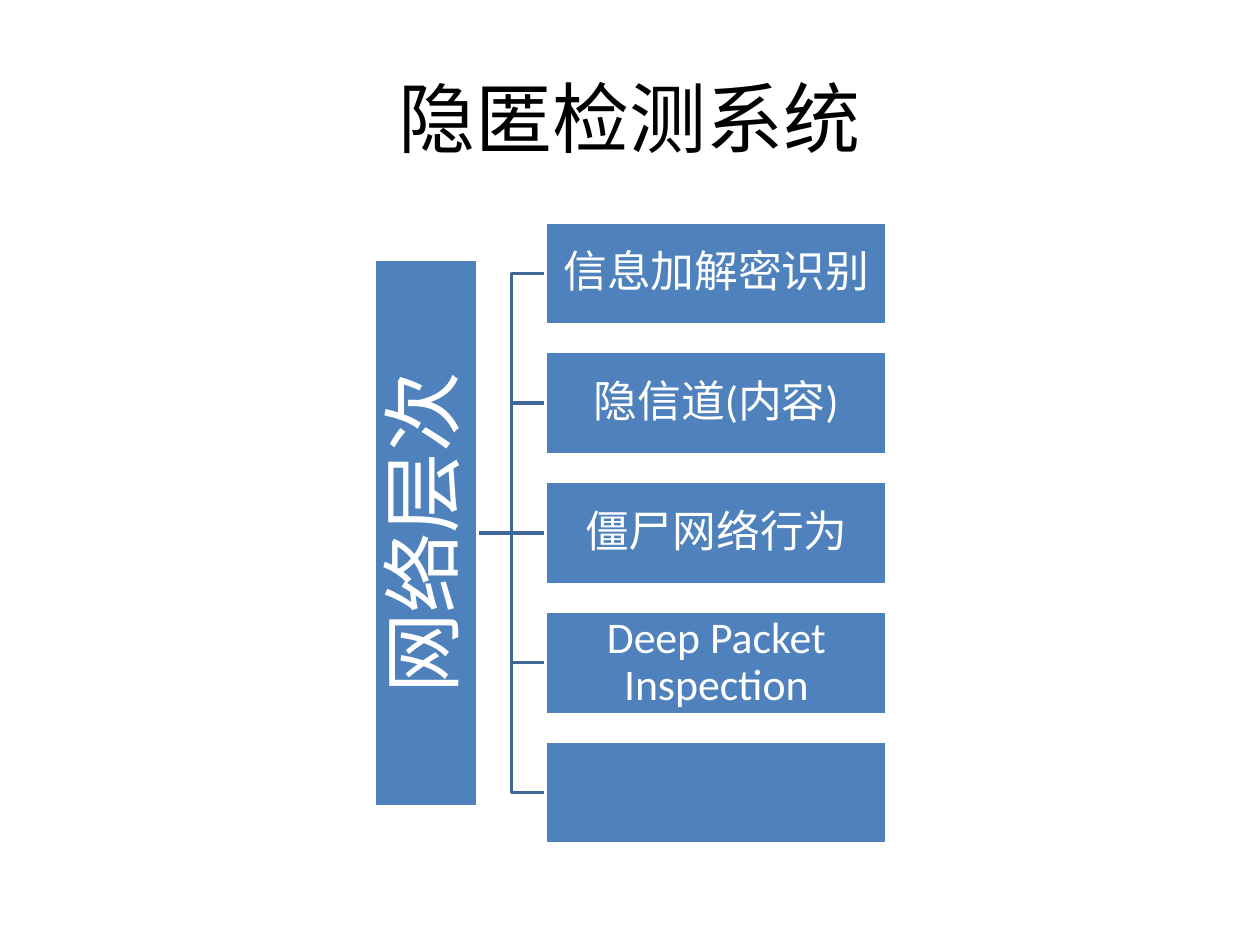
from pptx import Presentation
from pptx.dml.color import RGBColor
from pptx.enum.shapes import MSO_CONNECTOR, MSO_SHAPE
from pptx.enum.text import MSO_ANCHOR, PP_ALIGN
from pptx.oxml.ns import qn
from pptx.util import Inches, Pt

RECT = MSO_SHAPE.RECTANGLE
STRAIGHT = MSO_CONNECTOR.STRAIGHT
MIDDLE = MSO_ANCHOR.MIDDLE
CENTER = PP_ALIGN.CENTER

TITLE = "隐匿检测系统"
ROOT = "网络层次"
BRANCHES = ["信息加解密识别", "隐信道(内容)", "僵尸网络行为", "Deep Packet Inspection", ""]

FONT = "Calibri"
COLORS = {"title": "000000", "box": "4F81BD", "link": "3F6797", "white": "FFFFFF"}

WIDTH, HEIGHT = 10, 7.5
BOX_H, BOX_W, ROOT_LENGTH = 0.82, 2.71, 4.34
PITCH = 1.03
ROOT_RIGHT, BRANCH_LEFT = 3.79, 4.33
ELBOW_X = (ROOT_RIGHT + BRANCH_LEFT) / 2
MID_Y = 4.23


def rgb(name):
    return RGBColor.from_string(COLORS[name])


def write(sp, text, size, color, inset, spacing=1):
    tf = sp.text_frame
    tf.word_wrap = True
    tf.vertical_anchor = MIDDLE
    tf.margin_left = tf.margin_right = tf.margin_top = tf.margin_bottom = Inches(inset)
    p = tf.paragraphs[0]
    p.alignment = CENTER
    p.line_spacing = spacing
    r = p.add_run()
    r.text = text
    r.font.name = FONT
    r.font.size = Pt(size)
    r.font.color.rgb = rgb(color)


def add_box(slide, center_x, center_y, width, text, size, inset, rotation=0):
    sp = slide.shapes.add_shape(
        RECT, Inches(center_x - width / 2), Inches(center_y - BOX_H / 2),
        Inches(width), Inches(BOX_H))
    sp.rotation = rotation
    sp.shadow.inherit = False
    sp.fill.solid()
    sp.fill.fore_color.rgb = rgb("box")
    sp.line.color.rgb = rgb("white")
    sp.line.width = Pt(2)
    if text:
        write(sp, text, size, "white", inset, 0.9)


def add_link(slide, y):
    """Join the root to the branch at height y, with an elbow unless level."""
    if y == MID_Y:
        sp = slide.shapes.add_connector(
            STRAIGHT, Inches(ROOT_RIGHT), Inches(y), Inches(BRANCH_LEFT), Inches(y))
        props = sp._element.spPr
        props.append(props.makeelement(qn("a:effectLst"), {}))
    else:
        corners = [(ROOT_RIGHT, MID_Y), (ELBOW_X, MID_Y), (ELBOW_X, y), (BRANCH_LEFT, y)]
        start, *rest = [(Inches(px), Inches(py)) for px, py in corners]
        path = slide.shapes.build_freeform(*start)
        path.add_line_segments(rest, close=False)
        sp = path.convert_to_shape()
        sp.shadow.inherit = False
        sp.fill.background()
    sp.line.color.rgb = rgb("link")
    sp.line.width = Pt(2)


def main():
    prs = Presentation()
    prs.slide_width, prs.slide_height = Inches(WIDTH), Inches(HEIGHT)
    slide = prs.slides.add_slide(prs.slide_layouts[6])

    title = slide.shapes.add_textbox(
        Inches(0.05 * WIDTH), Inches(0.04 * HEIGHT), Inches(0.9 * WIDTH), Inches(HEIGHT / 6))
    write(title, TITLE, 44, "title", 0.05)

    middle = len(BRANCHES) // 2
    rows = [MID_Y + (i - middle) * PITCH for i in range(len(BRANCHES))]
    for y in reversed(rows):
        add_link(slide, y)
    add_box(slide, ROOT_RIGHT - BOX_H / 2, MID_Y, ROOT_LENGTH, ROOT, 46, 0.03, 270)
    for y, text in zip(rows, BRANCHES):
        add_box(slide, BRANCH_LEFT + BOX_W / 2, y, BOX_W, text, 25, 0.02)

    prs.save("out.pptx")


if __name__ == "__main__":
    main()
